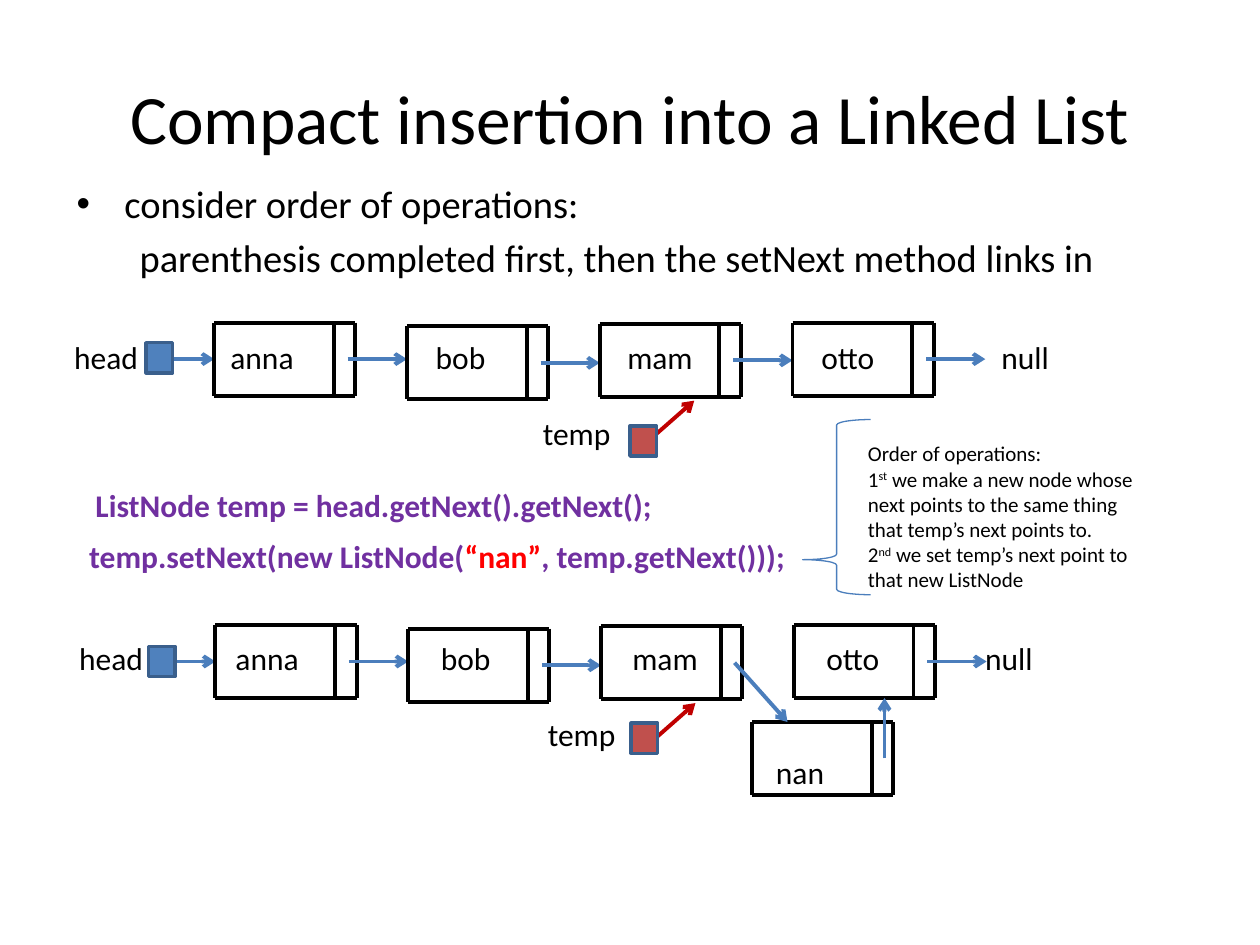
"""Build a slide on compact insertion into a linked list."""
from dataclasses import dataclass

from lxml.etree import SubElement
from pptx import Presentation
from pptx.dml.color import RGBColor
from pptx.enum.shapes import MSO_CONNECTOR, MSO_SHAPE
from pptx.enum.text import MSO_ANCHOR, PP_ALIGN
from pptx.oxml.ns import qn
from pptx.util import Inches, Pt


@dataclass(frozen=True)
class Theme:
    font: str = "Calibri"
    text: str = "000000"
    code: str = "7030A0"
    literal: str = "FF0000"
    link: str = "4B7EBC"
    temp_link: str = "C00000"
    head_fill: str = "4F81BD"
    temp_fill: str = "C0504D"
    outline: str = "3A5F8C"
    title_size: float = 39.6
    body_size: float = 22
    label_size: float = 18
    note_size: float = 12
    line: float = 2.25
    outline_width: float = 2
    brace_width: float = 0.75


@dataclass(frozen=True)
class Box:
    x: float
    y: float
    w: float
    h: float


@dataclass(frozen=True)
class Span:
    text: str
    color: str = Theme.text
    raised: bool = False


@dataclass(frozen=True)
class ListRow:
    x: float
    y: float
    linked: tuple[int, ...]
    head: tuple[float, float]
    temp: tuple[float, float]
    labels: Box
    lines: tuple[str, ...]
    tabs: tuple[tuple[float, ...], ...]


THEME = Theme()
NODE_W, NODE_H, DIVIDER, PITCH = 1.12, 0.58, 0.95, 1.53
LINK_START, LINK_Y = 1.06, 0.29
NODE_DROPS = (0, 0.03, 0.01, 0)
NAMES = "head\tanna\tbob\tmam\totto\tnull"
NAME_TABS = (1.24, 2.87, 4.39, 5.93)
TEMP_TAB, NAN_TAB = 3.72, 5.53

ROWS = (
    ListRow(1.7, 2.56, (0, 1, 2, 3), (1.16, 2.72), (5, 3.38), Box(0.49, 2.63, 8.36, 1.01),
            (NAMES, "\ttemp"), (NAME_TABS + (7.36,), (TEMP_TAB,))),
    ListRow(1.71, 4.96, (0, 1, 3), (1.18, 5.13), (5.01, 5.74), Box(0.53, 5.02, 8.48, 1.31),
            (NAMES, "\ttemp", "\tnan"), (NAME_TABS + (7.19,), (TEMP_TAB,), (NAN_TAB,))),
)


def rgb(color: str) -> RGBColor:
    return RGBColor.from_string(color)


def add_line(s, x1: float, y1: float, x2: float, y2: float,
             color: str = THEME.text, arrow: bool = False) -> None:
    cx = s.shapes.add_connector(MSO_CONNECTOR.STRAIGHT, *map(Inches, (x1, y1, x2, y2)))
    cx.line.color.rgb = rgb(color)
    cx.line.width = Pt(THEME.line)
    if arrow:
        SubElement(cx.line._get_or_add_ln(), qn("a:tailEnd"), type="arrow")
    SubElement(cx._element.spPr, qn("a:effectLst"))


def add_node(s, x: float, y: float) -> None:
    for edge_y in (y, y + NODE_H):
        add_line(s, x, edge_y, x + NODE_W, edge_y)
    for edge_x in (x, x + DIVIDER, x + NODE_W):
        add_line(s, edge_x, y, edge_x, y + NODE_H)


def add_square(s, at: tuple[float, float], fill: str) -> None:
    sp = s.shapes.add_shape(MSO_SHAPE.RECTANGLE, *map(Inches, (*at, 0.21, 0.24)))
    sp.shadow.inherit = False
    sp.fill.solid()
    sp.fill.fore_color.rgb = rgb(fill)
    sp.line.color.rgb = rgb(THEME.outline)
    sp.line.width = Pt(THEME.outline_width)


def add_brace(s, box: Box) -> None:
    sp = s.shapes.add_shape(MSO_SHAPE.LEFT_BRACE, *map(Inches, (box.x, box.y, box.w, box.h)))
    sp.adjustments[0] = 0.08
    sp.adjustments[1] = 0.8
    sp.shadow.inherit = False
    sp.fill.background()
    sp.line.color.rgb = rgb(THEME.link)
    sp.line.width = Pt(THEME.brace_width)


def add_text(s, box: Box, paragraphs: list[list[Span]], size: float,
             bold: bool = False, wrap: bool = True):
    sp = s.shapes.add_textbox(*map(Inches, (box.x, box.y, box.w, box.h)))
    tf = sp.text_frame
    tf.word_wrap = wrap
    for i, spans in enumerate(paragraphs):
        p = tf.add_paragraph() if i else tf.paragraphs[0]
        for span in spans:
            r = p.add_run()
            r.text = span.text
            r.font.name = THEME.font
            r.font.size = Pt(size)
            r.font.bold = bold
            r.font.color.rgb = rgb(span.color)
            if span.raised:
                r._r.get_or_add_rPr().set("baseline", "30000")
    return tf


def add_tabs(p, stops: tuple[float, ...]) -> None:
    tabs = SubElement(p._p.get_or_add_pPr(), qn("a:tabLst"))
    for stop in stops:
        SubElement(tabs, qn("a:tab"), pos=str(Inches(stop)), algn="l")


def add_bullet(p, indent: float) -> None:
    pPr = p._p.get_or_add_pPr()
    pPr.set("marL", str(Inches(indent)))
    pPr.set("indent", str(-Inches(indent)))
    SubElement(pPr, qn("a:buFont"), typeface="Arial")
    SubElement(pPr, qn("a:buChar"), char="•")


def add_row(s, row: ListRow) -> None:
    x, y = row.x, row.y
    add_line(s, x - 0.48, y + LINK_Y, x, y + LINK_Y, THEME.link, arrow=True)
    for i, drop in enumerate(NODE_DROPS):
        left, top = x + i * PITCH, y + drop
        add_node(s, left, top)
        if i in row.linked:
            add_line(s, left + LINK_START, top + LINK_Y, left + PITCH, top + LINK_Y,
                     THEME.link, arrow=True)
    add_line(s, x + 3.48, y + 0.91, x + 3.81, y + 0.62, THEME.temp_link, arrow=True)
    tf = add_text(s, row.labels, [[Span(line)] for line in row.lines], THEME.label_size)
    for p, stops in zip(tf.paragraphs, row.tabs):
        add_tabs(p, stops)
    tf.paragraphs[1].space_before = Pt(22)
    add_square(s, row.head, THEME.head_fill)
    add_square(s, row.temp, THEME.temp_fill)


def main() -> None:
    prs = Presentation()
    prs.slide_width, prs.slide_height = Inches(10), Inches(7.5)
    s = prs.slides.add_slide(prs.slide_layouts[6])

    tf = add_text(s, Box(0.5, 0.3, 9, 1.25), [[Span("Compact insertion into a Linked List")]],
                  THEME.title_size)
    tf.vertical_anchor = MSO_ANCHOR.MIDDLE
    tf.paragraphs[0].alignment = PP_ALIGN.CENTER

    tf = add_text(s, Box(0.51, 1.38, 9, 1.33), [
        [Span("consider order of operations:")],
        [Span("\tparenthesis completed first, then the setNext method links in")],
    ], THEME.body_size)
    add_bullet(tf.paragraphs[0], 0.38)
    tf.paragraphs[1].space_before = Pt(4.4)

    for row in ROWS:
        add_row(s, row)
    add_node(s, 5.97, 5.73)
    add_line(s, 5.83, 5.26, 6.25, 5.73, THEME.link, arrow=True)
    add_line(s, 7.02, 6.02, 7.02, 5.54, THEME.link, arrow=True)

    add_text(s, Box(0.66, 3.81, 4.66, 0.4),
             [[Span("ListNode temp = head.getNext().getNext();", THEME.code)]],
             THEME.label_size, bold=True, wrap=False)
    add_text(s, Box(0.61, 4.21, 5.76, 0.4),
             [[Span("temp.setNext(new ListNode(", THEME.code), Span("“nan”", THEME.literal),
               Span(", temp.getNext()));", THEME.code)]],
             THEME.label_size, bold=True, wrap=False)

    add_brace(s, Box(6.37, 3.33, 0.54, 1.39))
    add_text(s, Box(6.79, 3.45, 2.46, 1.31), [
        [Span("Order of operations:")],
        [Span("1"), Span("st", raised=True),
         Span(" we make a new node whose next points to the same thing that temp’s next points to.")],
        [Span("2"), Span("nd", raised=True),
         Span(" we set temp’s next point to that new ListNode")],
    ], THEME.note_size)
    prs.save("out.pptx")


if __name__ == "__main__":
    main()
